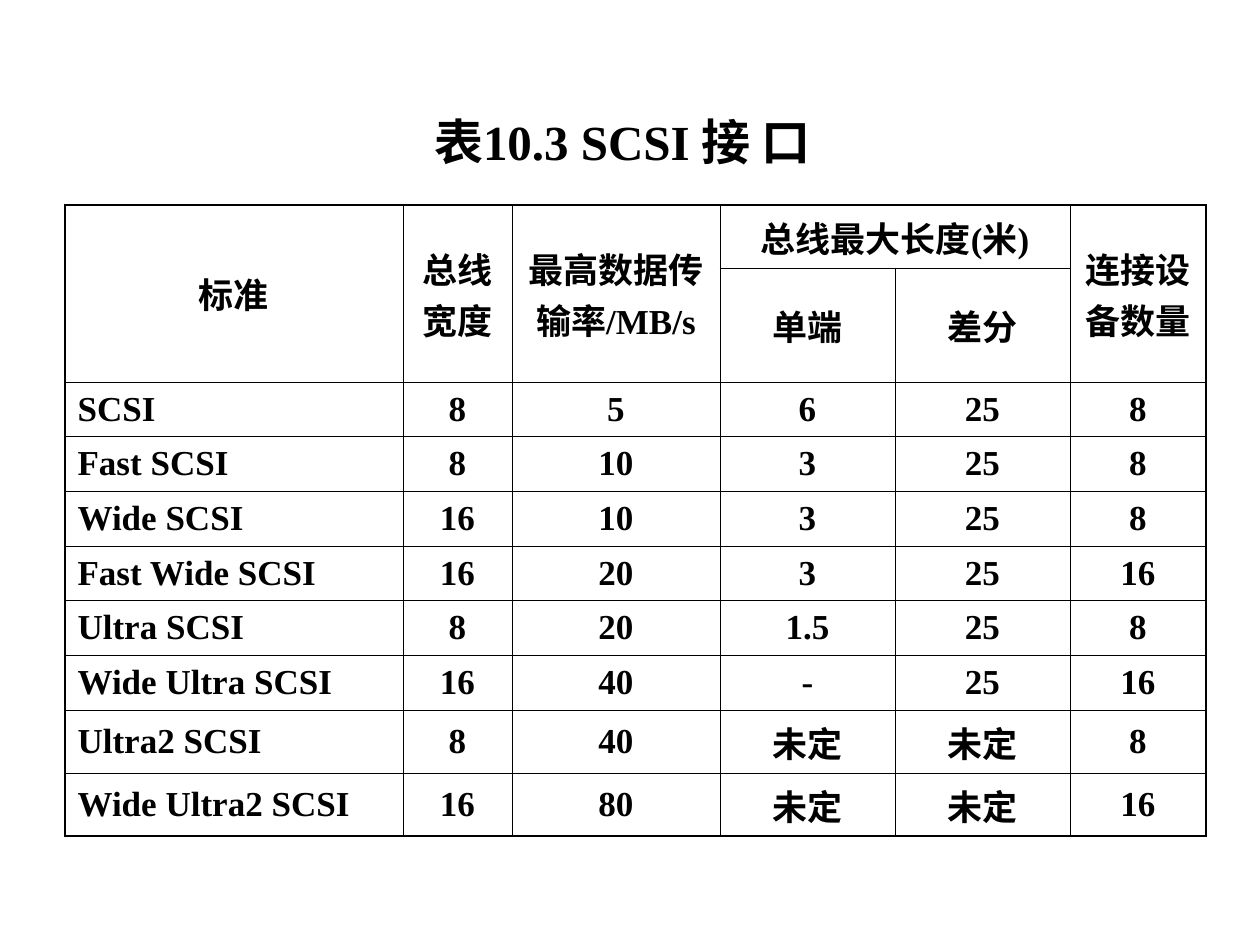
from dataclasses import dataclass

from lxml.etree import SubElement
from pptx import Presentation
from pptx.dml.color import RGBColor
from pptx.enum.text import MSO_ANCHOR, PP_ALIGN
from pptx.oxml.ns import qn
from pptx.util import Emu, Pt

TITLE = "表10.3 SCSI 接 口"
HEADER = [
    ["标准", "总线宽度", "最高数据传输率/MB/s", "总线最大长度(米)", "", "连接设备数量"],
    ["", "", "", "单端", "差分", ""],
]
STANDARDS = [
    ["SCSI", "8", "5", "6", "25", "8"],
    ["Fast SCSI", "8", "10", "3", "25", "8"],
    ["Wide SCSI", "16", "10", "3", "25", "8"],
    ["Fast Wide SCSI", "16", "20", "3", "25", "16"],
    ["Ultra SCSI", "8", "20", "1.5", "25", "8"],
    ["Wide Ultra SCSI", "16", "40", "-", "25", "16"],
    ["Ultra2 SCSI", "8", "40", "未定", "未定", "8"],
    ["Wide Ultra2 SCSI", "16", "80", "未定", "未定", "16"],
]
MERGES = [((0, column), (1, column)) for column in (0, 1, 2, 5)] + [((0, 3), (0, 4))]

SLIDE_SIZE = (1260, 945)
TITLE_BOX = (45, 105, 1155, 81)
TABLE_ORIGIN = (65, 205)
COLUMN_WIDTHS = [338, 109, 208, 175, 175, 136]
ROW_HEIGHTS = [63, 114] + [52] * 6 + [63] * 2


@dataclass(frozen=True)
class Theme:
    font: str = "Times New Roman"
    ink: str = "000000"
    title_size: int = 28
    table_size: int = 20
    inner_line: float = 0.45
    outer_line: float = 1.08


THEME = Theme()


def px(length):
    return Emu(length * 914400 // 126)


def write(text_frame, text, *, size, align):
    paragraph = text_frame.paragraphs[0]
    paragraph.alignment = align
    run = paragraph.add_run()
    run.text = text
    run.font.name = THEME.font
    run.font.size = Pt(size)
    run.font.bold = True
    run.font.color.rgb = RGBColor.from_string(THEME.ink)


def set_borders(cell, outer_sides):
    """Rule all four sides, heavier on those at the table's edge."""
    properties = cell._tc.get_or_add_tcPr()
    for side in "LRTB":
        width = THEME.outer_line if side in outer_sides else THEME.inner_line
        line = SubElement(properties, qn(f"a:ln{side}"), w=str(int(Pt(width))))
        fill = SubElement(line, qn("a:solidFill"))
        SubElement(fill, qn("a:srgbClr"), val=THEME.ink)


def add_title(slide):
    box = slide.shapes.add_textbox(*map(px, TITLE_BOX))
    box.text_frame.word_wrap = True
    write(box.text_frame, TITLE, size=THEME.title_size, align=PP_ALIGN.CENTER)


def add_standards_table(slide):
    rows = HEADER + STANDARDS
    last_row, last_column = len(rows) - 1, len(COLUMN_WIDTHS) - 1
    table = slide.shapes.add_table(
        len(rows), len(COLUMN_WIDTHS), *map(px, TABLE_ORIGIN),
        px(sum(COLUMN_WIDTHS)), px(sum(ROW_HEIGHTS))).table
    table.first_row = table.horz_banding = False
    for column, width in zip(table.columns, COLUMN_WIDTHS):
        column.width = px(width)
    for row, height in zip(table.rows, ROW_HEIGHTS):
        row.height = px(height)

    for row, values in enumerate(rows):
        for column, text in enumerate(values):
            cell = table.cell(row, column)
            edges = {"L": column == 0, "R": column == last_column,
                     "T": row == 0, "B": row == last_row}
            set_borders(cell, [side for side, at_edge in edges.items() if at_edge])
            cell.fill.background()
            cell.vertical_anchor = MSO_ANCHOR.MIDDLE
            if text:
                is_name = column == 0 and row >= len(HEADER)
                write(cell.text_frame, text, size=THEME.table_size,
                      align=PP_ALIGN.LEFT if is_name else PP_ALIGN.CENTER)
    for first, last in MERGES:
        table.cell(*first).merge(table.cell(*last))


def main():
    presentation = Presentation()
    presentation.slide_width, presentation.slide_height = map(px, SLIDE_SIZE)
    slide = presentation.slides.add_slide(presentation.slide_layouts[6])
    add_title(slide)
    add_standards_table(slide)
    presentation.save("out.pptx")


if __name__ == "__main__":
    main()
